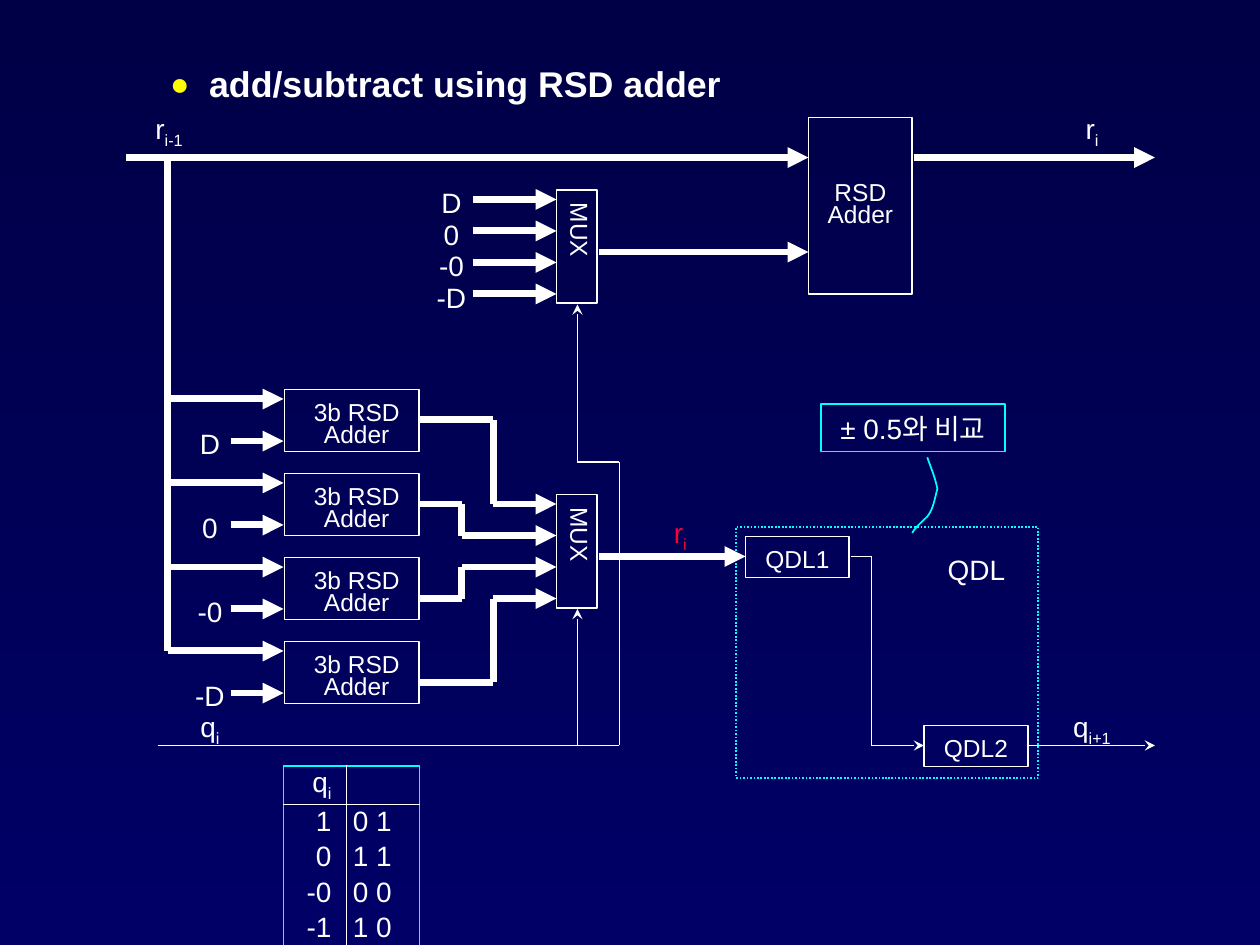
from itertools import pairwise

from lxml import etree
from pptx import Presentation
from pptx import util as u
from pptx.dml.color import RGBColor
from pptx.enum import dml, shapes, text
from pptx.oxml.ns import qn

WHITE = RGBColor(0xFF, 0xFF, 0xFF)
CYAN = RGBColor(0x00, 0xFF, 0xFF)
YELLOW = RGBColor(0xFF, 0xFF, 0x00)
RED = RGBColor(0xFF, 0x00, 0x33)
NAVY_TOP = RGBColor(0x00, 0x00, 0x46)
NAVY_BOTTOM = RGBColor(0x00, 0x00, 0x66)

prs = Presentation()
prs.slide_width, prs.slide_height = u.Inches(10), u.Inches(7.5)
U = prs.slide_width / 120  # the diagram sits on a grid of 120 by 90 units


def write(tf, lines, size=16, color=WHITE, spacing=1.0, align=text.PP_ALIGN.CENTER):
    """Fill a text frame; what follows "_" on a line becomes a subscript."""
    tf.word_wrap = False
    tf.vertical_anchor = text.MSO_ANCHOR.MIDDLE
    for i, line in enumerate(lines.split("\n")):
        p = tf.paragraphs[0] if i == 0 else tf.add_paragraph()
        p.alignment, p.line_spacing = align, spacing
        for j, part in enumerate(line.split("_")):
            r = p.add_run()
            r.text = part
            r.font.name, r.font.size, r.font.color.rgb = "Arial", u.Pt(size), color
            if j:
                r._r.get_or_add_rPr().set("baseline", "-25000")


def wire(points, weight, head=None):
    """Join grid points with straight lines, with an arrowhead on the last one."""
    segments = list(pairwise(points))
    for i, (start, end) in enumerate(segments):
        c = s.shapes.add_connector(shapes.MSO_CONNECTOR.STRAIGHT,
                                   *(round(v * U) for v in start + end))
        c.line.color.rgb, c.line.width = WHITE, u.Pt(weight)
        etree.SubElement(c._element.spPr, qn("a:effectLst"))
        if head and i == len(segments) - 1:
            etree.SubElement(c.line._get_or_add_ln(), qn("a:tailEnd"), type=head)


s = prs.slides.add_slide(prs.slide_layouts[5])
fill = s.background.fill
fill.gradient()
fill.gradient_angle = 270
for stop, color in zip(fill.gradient_stops, (NAVY_TOP, NAVY_BOTTOM)):
    stop.color.rgb = color

# Heading
title = s.shapes.title
title.left, title.top = u.Inches(0.75), u.Inches(0.48)
title.width, title.height = u.Inches(8.5), u.Inches(0.79)
tf = title.text_frame
tf.text = "add/subtract using RSD adder"
tf.vertical_anchor, tf.auto_size = text.MSO_ANCHOR.TOP, text.MSO_AUTO_SIZE.NONE
p = tf.paragraphs[0]
p.alignment, p.line_spacing, p.space_before = text.PP_ALIGN.LEFT, 0.9, u.Pt(0)
pPr = p._p.get_or_add_pPr()
pPr.set("marL", str(u.Inches(0.81)))
pPr.set("indent", str(u.Inches(-0.31)))
etree.SubElement(etree.SubElement(pPr, qn("a:buClr")), qn("a:srgbClr"), val=str(YELLOW))
etree.SubElement(pPr, qn("a:buSzPct"), val="90000")
etree.SubElement(pPr, qn("a:buFont"), typeface="Arial")
etree.SubElement(pPr, qn("a:buChar"), char="●")
font = p.runs[0].font
font.name, font.size, font.bold, font.color.rgb = "Arial", u.Pt(20.4), True, WHITE

# Blocks: left, top, width, height, wording, left inset, top inset, outline
blocks = [
    (77, 11.2, 9.9, 16.8, "RSD\nAdder", 0, 0, WHITE),
    (53, 18.1, 3.9, 10.8, "MUX", 0, 0.1, WHITE),
    (53, 47.1, 3.9, 10.8, "MUX", 0, 0.1, WHITE),
    (71, 51.1, 9.9, 3.9, "QDL1", 0, 0.08, WHITE),
    (88, 69.1, 9.9, 3.9, "QDL2", 0, 0.08, WHITE),
    (70.1, 50.2, 28.8, 23.9, "", 0, 0, CYAN),
    (78.2, 38.5, 17.5, 4.5, "± 0.5와 비교", 0, 0, CYAN),
] + [(27.1, 37.1 + 8 * i, 12.8, 5.9, "3b RSD\nAdder", 0.08, 0.08, WHITE) for i in range(4)]
for x, y, w, h, words, inset_left, inset_top, color in blocks:
    sp = s.shapes.add_shape(shapes.MSO_SHAPE.RECTANGLE, *(round(v * U) for v in (x, y, w, h)))
    sp.shadow.inherit = False
    sp.fill.background()
    sp.line.color.rgb, sp.line.width = color, u.Pt(1)
    tf = sp.text_frame
    tf.margin_left, tf.margin_top = u.Inches(inset_left), u.Inches(inset_top)
    tf.margin_right = tf.margin_bottom = 0
    if words == "MUX":
        tf._txBody.bodyPr.set("vert", "eaVert")
    if not words:
        sp.line.dash_style = dml.MSO_LINE.ROUND_DOT
    elif color == CYAN:
        write(tf, words)
    else:
        write(tf, words, size=14, spacing=0.75)

# Data buses
wire([(16, 62), (16, 15)], 4)
for start, end in [((12, 15), (77, 15)), ((87, 15), (110, 15)),
                   ((57, 24), (77, 24)), ((57, 53), (71, 53))]:
    wire([start, end], 4, "triangle")
adder_outputs = [(40, 47), (48, 44), (57, 44), (65, 47)]
for i, (y, turn) in enumerate(adder_outputs):
    wire([(45, 19 + 3 * i), (53, 19 + 3 * i)], 4, "triangle")
    wire([(16, 38 + 8 * i), (27, 38 + 8 * i)], 4, "triangle")
    wire([(22, 42 + 8 * i), (27, 42 + 8 * i)], 4, "triangle")
    wire([(40, y), (turn, y), (turn, 48 + 3 * i), (53, 48 + 3 * i)], 4, "triangle")

# Control lines
wire([(15, 71), (59, 71), (59, 44), (55, 44), (55, 29)], 1, "stealth")
wire([(55, 71), (55, 58)], 1, "stealth")
wire([(81, 53), (83, 53), (83, 71), (88, 71)], 1, "stealth")
wire([(98, 71), (110, 71)], 1, "stealth")

# Signal names, placed by their centres
labels = [("r_i-1", 16.1, 12.4, WHITE), ("r_i", 104, 12.4, WHITE), ("r_i", 64.8, 50.9, RED),
          ("q_i", 20, 69.4, WHITE), ("q_i+1", 104, 69.4, WHITE), ("QDL", 93, 54.2, WHITE)]
for i, operand in enumerate(("D", "0", "-0", "-D")):
    labels += [(operand, 43, 19.3 + 3 * i, WHITE), (operand, 20, 42.2 + 8 * i, WHITE)]
for words, x, y, color in labels:
    w, h = 6, 4.8
    sp = s.shapes.add_textbox(*(round(v * U) for v in (x - w / 2, y - h / 2, w, h)))
    tf = sp.text_frame
    tf.margin_left = tf.margin_right = 0
    write(tf, words, color=color)

# Curved pointer from the comparison note to the QDL block, as Bezier segments in inches
curve = [(7.36, 3.63), (7.39, 3.72), (7.42, 3.78), (7.44, 3.88), (7.42, 3.95),
         (7.41, 4.04), (7.36, 4.1), (7.32, 4.14), (7.27, 4.18), (7.24, 4.23)]
points = []
for k in (0, 3, 6):
    for t in (n / 8 for n in range(1, 9)):
        weights = ((1 - t) ** 3, 3 * t * (1 - t) ** 2, 3 * t * t * (1 - t), t ** 3)
        points.append([u.Inches(sum(a * q[axis] for a, q in zip(weights, curve[k:k + 4])))
                       for axis in (0, 1)])
builder = s.shapes.build_freeform(u.Inches(curve[0][0]), u.Inches(curve[0][1]))
builder.add_line_segments(points, close=False)
sp = builder.convert_to_shape()
sp.shadow.inherit = False
sp.fill.background()
sp.line.color.rgb, sp.line.width = CYAN, u.Pt(1)

# Quotient digit codes
codes = [("q_i", ""), ("1", "0 1"), ("0", "1 1"), ("-0", "0 0"), ("-1", "1 0")]
frame = s.shapes.add_table(len(codes), 2, u.Inches(2.25), u.Inches(6.08),
                           u.Inches(1.08), u.Inches(1.42))
table = frame.table
table.first_row = table.horz_banding = False
table.columns[0].width, table.columns[1].width = u.Inches(0.5), u.Inches(0.58)
for i, row in enumerate(codes):
    table.rows[i].height = u.Inches(0.28 if i else 0.29)
    for j, words in enumerate(row):
        cell = table.cell(i, j)
        cell.fill.background()
        cell.margin_top = cell.margin_bottom = 0
        cell.margin_left, cell.margin_right = u.Inches(0.05), u.Inches(0.12)
        cell.vertical_anchor = text.MSO_ANCHOR.MIDDLE
        write(cell.text_frame, words, align=text.PP_ALIGN.LEFT if j else text.PP_ALIGN.RIGHT)
        borders = {"L": WHITE if j else CYAN, "R": CYAN if j else WHITE,
                   "T": (CYAN, WHITE, None, None, None)[i],
                   "B": (WHITE, None, None, None, CYAN)[i]}
        tcPr = cell._tc.get_or_add_tcPr()
        for k, (side, color) in enumerate(borders.items()):
            ln = etree.Element(qn("a:ln" + side), w=str(u.Pt(1)))
            if color is None:
                etree.SubElement(ln, qn("a:noFill"))
            else:
                solid = etree.SubElement(ln, qn("a:solidFill"))
                etree.SubElement(solid, qn("a:srgbClr"), val=str(color))
            tcPr.insert(k, ln)

prs.save("out.pptx")
